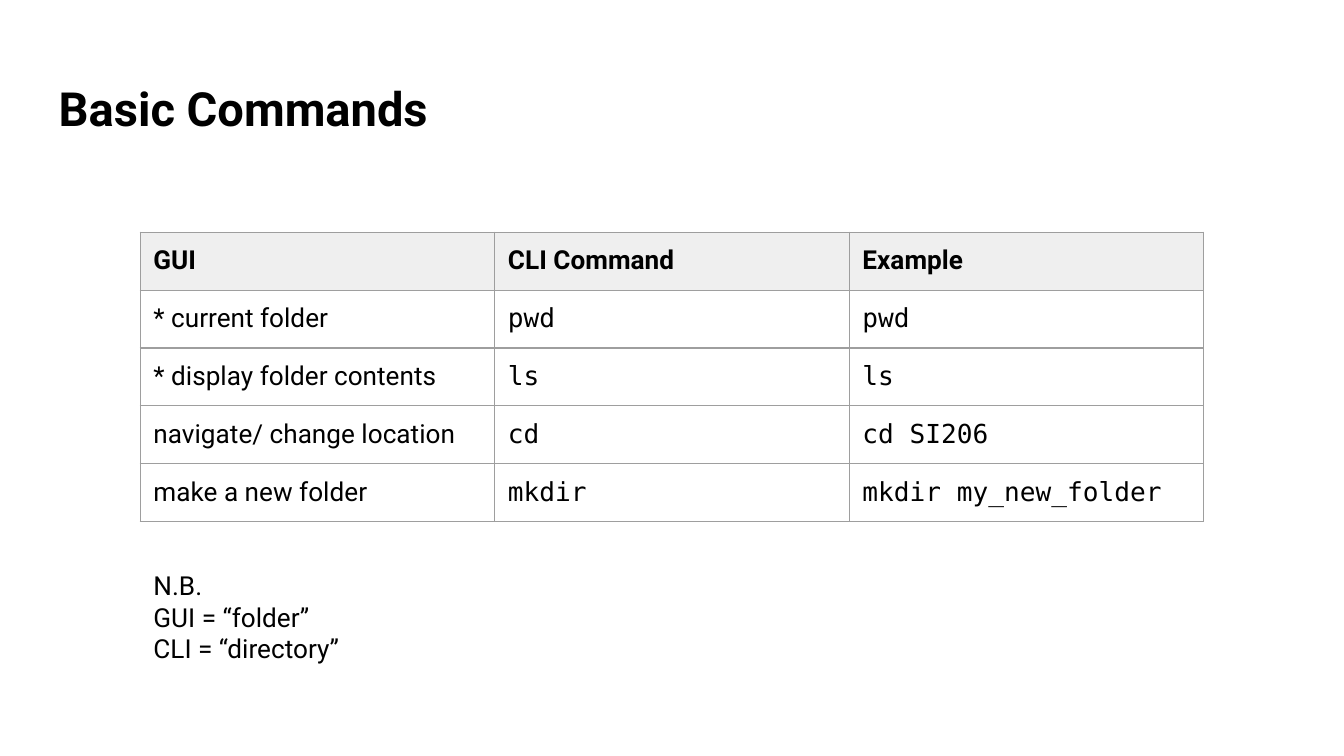
from dataclasses import dataclass

from lxml import etree
from pptx import Presentation
from pptx import util as u
from pptx.dml.color import RGBColor
from pptx.enum import text
from pptx.oxml import ns


@dataclass(frozen=True)
class Theme:
    ink: str = "000000"
    border: str = "9E9E9E"
    header: str = "EFEFEF"
    font: str = "Roboto"
    mono: str = "DejaVu Sans Mono"
    title_size: float = 25.2
    body_size: float = 14
    border_width: float = 0.75
    inset: float = 0.25


def write(tf, content, *, size, font, color, bold=False):
    """Write one paragraph per line of content."""
    for i, line in enumerate(content.split("\n")):
        p = tf.paragraphs[0] if i == 0 else tf.add_paragraph()
        r = p.add_run()
        r.text = line
        r.font.size = u.Pt(size)
        r.font.name = font
        r.font.bold = bold
        r.font.color.rgb = RGBColor.from_string(color)


class Builder:
    def __init__(self, slide, theme):
        self.s = slide
        self.theme = theme

    def set_insets(self, obj):
        for side in ("left", "top", "right", "bottom"):
            setattr(obj, f"margin_{side}", u.Cm(self.theme.inset))

    def text(self, content, left, top, width, height, *, size,
             bold=False, anchor=text.MSO_ANCHOR.TOP):
        sp = self.s.shapes.add_textbox(*map(u.Cm, (left, top, width, height)))
        tf = sp.text_frame
        tf.word_wrap = True
        tf.vertical_anchor = anchor
        self.set_insets(tf)
        write(tf, content, size=size, font=self.theme.font,
              color=self.theme.ink, bold=bold)

    def borders(self, cell):
        tc_pr = cell._tc.get_or_add_tcPr()
        for tag in ("a:lnL", "a:lnR", "a:lnT", "a:lnB"):
            ln = etree.SubElement(tc_pr, ns.qn(tag),
                                  w=str(u.Pt(self.theme.border_width)))
            fill = etree.SubElement(ln, ns.qn("a:solidFill"))
            etree.SubElement(fill, ns.qn("a:srgbClr"), val=self.theme.border)

    def table(self, rows, left, top, col_width, row_height):
        th = self.theme
        n_rows, n_cols = len(rows), len(rows[0])
        tbl = self.s.shapes.add_table(
            n_rows, n_cols, u.Cm(left), u.Cm(top),
            u.Cm(col_width * n_cols), u.Cm(row_height * n_rows)).table
        tbl.horz_banding = False
        for col in tbl.columns:
            col.width = u.Cm(col_width)
        for i, row in enumerate(rows):
            tbl.rows[i].height = u.Cm(row_height)
            for j, content in enumerate(row):
                cell = tbl.cell(i, j)
                is_header = i == 0
                self.set_insets(cell)
                self.borders(cell)
                if is_header:
                    cell.fill.solid()
                    cell.fill.fore_color.rgb = RGBColor.from_string(th.header)
                else:
                    cell.fill.background()
                # Commands and examples are set in the monospaced font
                font = th.font if is_header or j == 0 else th.mono
                write(cell.text_frame, content, size=th.body_size, font=font,
                      color=th.ink, bold=is_header)


COMMANDS = [
    ("GUI", "CLI Command", "Example"),
    ("* current folder", "pwd", "pwd"),
    ("* display folder contents", "ls", "ls"),
    ("navigate/ change location", "cd", "cd SI206"),
    ("make a new folder", "mkdir", "mkdir my_new_folder"),
]
NOTE = "N.B.\nGUI = “folder”\nCLI = “directory”"


def main():
    prs = Presentation()
    prs.slide_width, prs.slide_height = u.Cm(25.4), u.Cm(14.29)
    theme = Theme()
    b = Builder(prs.slides.add_slide(prs.slide_layouts[6]), theme)

    # Title
    b.text("Basic Commands", 0.86, 1.24, 23.67, 1.6, size=theme.title_size,
           bold=True, anchor=text.MSO_ANCHOR.MIDDLE)

    # Command table
    left = 2.65
    b.table(COMMANDS, left, 4.39, col_width=6.7, row_height=1.09)

    # Terminology note
    b.text(NOTE, left, 10.52, 4.47, 2.31, size=theme.body_size)

    prs.save("out.pptx")


if __name__ == "__main__":
    main()
